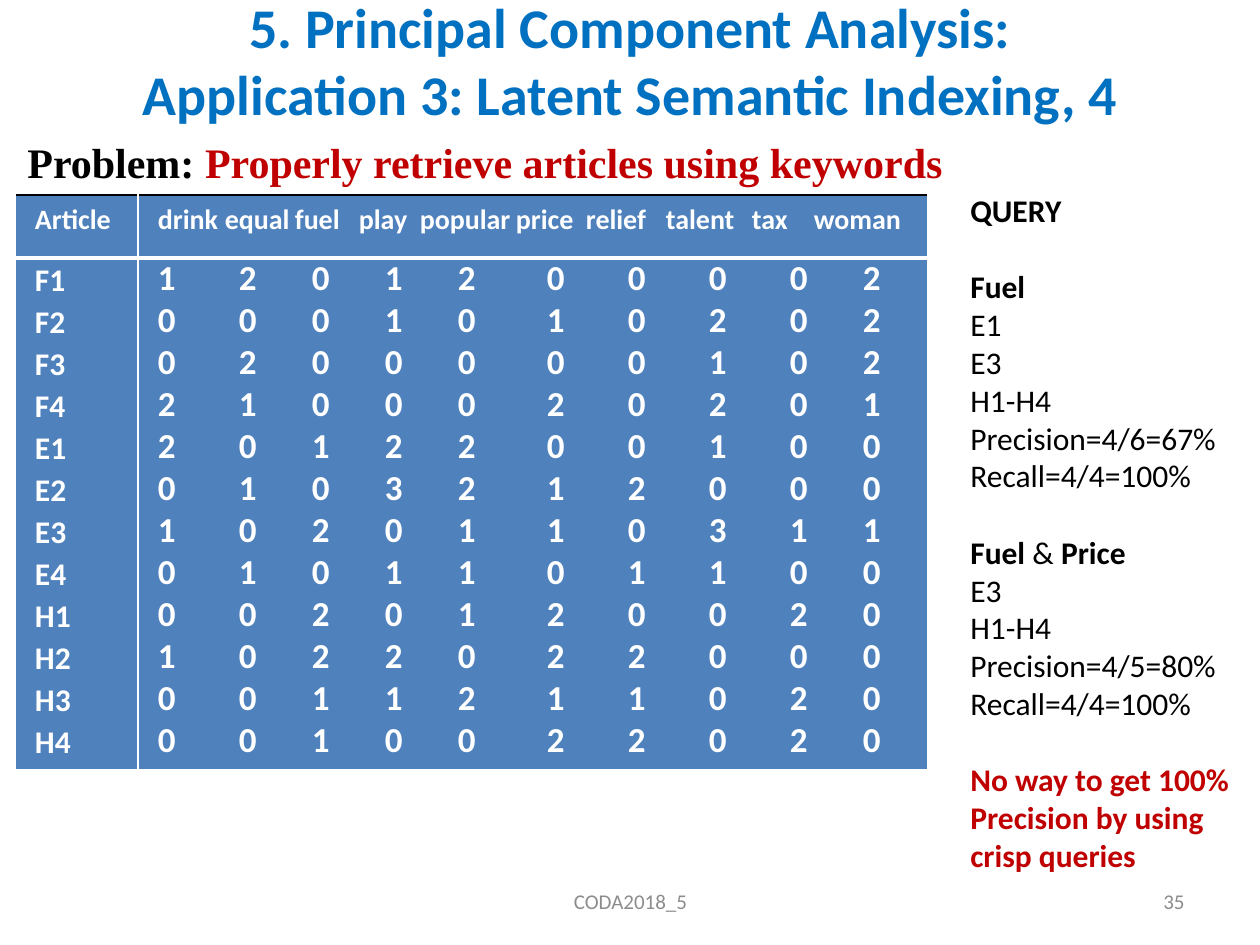
from lxml.etree import SubElement as Sub
from pptx import Presentation
from pptx.dml.color import RGBColor
from pptx.enum.text import MSO_ANCHOR as Anchor, PP_ALIGN as Align
from pptx.oxml import parse_xml
from pptx.oxml.ns import nsdecls, qn
from pptx.util import Emu, Pt

BLACK, WHITE, RED = "000000", "FFFFFF", "C00000"
BLUE, CELL, GREY = "0070C0", "4F81BD", "8C8C8C"

WORDS = "drink equal fuel play popular price relief talent tax woman".split()
COUNTS = {
    "F1": "1201200002", "F2": "0001010202", "F3": "0200000102",
    "F4": "2100020201", "E1": "2012200100", "E2": "0103212000",
    "E3": "1020110311", "E4": "0101101100", "H1": "0020120020",
    "H2": "1022022000", "H3": "0011211020", "H4": "0010022020",
}
WORD_TABS = [67, 137, 201, 262, 358, 428, 508, 594, 656]
COUNT_TABS = [81, 154, 227, 300, 389, 470, 551, 632, 705]


def px(n):
    return Emu(round(n * 914400 / 126))


def rgb(code):
    return RGBColor.from_string(code)


class Deck:
    face = "Calibri"

    def __init__(self):
        self.prs = Presentation()
        self.prs.slide_width, self.prs.slide_height = px(1260), px(945)
        self.slide = self.prs.slides.add_slide(self.prs.slide_layouts[6])

    def style(self, para, size, color, bold=False, align=Align.LEFT, face=None):
        para.alignment = align
        font = para.font
        font.name, font.size, font.bold = face or self.face, Pt(size), bold
        font.color.rgb = rgb(color)

    def box(self, x, y, w, h, anchor=Anchor.TOP):
        frame = self.slide.shapes.add_textbox(px(x), px(y), px(w), px(h)).text_frame
        frame.word_wrap, frame.vertical_anchor = True, anchor
        return frame

    def label(self, text, x, y, w, h, **look):
        frame = self.box(x, y, w, h, Anchor.MIDDLE)
        frame.text = text
        for para in frame.paragraphs:
            self.style(para, **look)

    def runs(self, para, parts):
        """Add (text, font field, value) runs to a styled paragraph."""
        for text, bold, color in parts:
            run = para.add_run()
            run.text, run.font.bold = text, bold
            run.font.color.rgb = rgb(color)

    def table(self, x, y, cols, rows):
        grid = self.slide.shapes.add_table(
            len(rows), len(cols), px(x), px(y), px(sum(cols)), px(sum(rows))).table
        for col, w in zip(grid.columns, cols):
            col.width = px(w)
        for row, h in zip(grid.rows, rows):
            row.height = px(h)
        return grid

    def cell(self, cell, lines, size, tabs=(), top=0):
        cell.margin_left, cell.margin_top = px(20), px(top)
        cell.margin_right = cell.margin_bottom = 0
        cell.fill.solid()
        cell.fill.fore_color.rgb = rgb(CELL)
        frame = cell.text_frame
        frame.text = "\n".join(lines)
        for para in frame.paragraphs:
            if tabs:
                stops = Sub(para._p.get_or_add_pPr(), qn("a:tabLst"))
                for stop in tabs:
                    Sub(stops, qn("a:tab"), pos=str(px(stop)), algn="l")
            para.line_spacing = Pt(24)
            self.style(para, size, WHITE, True)

    def edges(self, cell, **sides):
        """Draw borders, each side (L, R, T, B) given as colour and points."""
        for i, (side, (color, width)) in enumerate(sides.items()):
            cell._tc.get_or_add_tcPr().insert(i, parse_xml(
                f'<a:ln{side} {nsdecls("a")} w="{Pt(width)}"><a:solidFill>'
                f'<a:srgbClr val="{color}"/></a:solidFill></a:ln{side}>'))


def main():
    deck = Deck()
    deck.label("5. Principal Component Analysis:\vApplication 3: Latent Semantic Indexing, 4",
               25, 4, 1211, 112, size=32, color=BLUE, bold=True, align=Align.CENTER)

    frame = deck.box(15, 76, 1230, 869)
    frame.margin_top = px(61)
    para = frame.paragraphs[0]
    deck.style(para, 24, BLACK, True, face="Times New Roman")
    deck.runs(para, [("Problem: ", True, BLACK),
                     ("Properly retrieve articles using keywords", True, RED)])

    deck.label("CODA2018_5", 431, 876, 399, 50, size=12, color=GREY, align=Align.CENTER)
    deck.label("35", 903, 876, 294, 50, size=12, color=GREY, align=Align.RIGHT)

    grid = deck.table(15, 195, [123, 790], [63, 512])
    deck.cell(grid.cell(0, 0), ["Article"], 16)
    deck.cell(grid.cell(0, 1), ["\t".join(WORDS)], 16, WORD_TABS)
    deck.cell(grid.cell(1, 0), COUNTS, 18)
    deck.cell(grid.cell(1, 1), ["\t".join(row) for row in COUNTS.values()], 20, COUNT_TABS)
    thin, thick = (WHITE, 1), (WHITE, 3)
    for col in range(2):
        deck.edges(grid.cell(0, col), L=thin, R=thin, T=(BLACK, 1), B=thick)
        deck.edges(grid.cell(1, col), L=thin, R=thin, T=thick, B=thin)

    blocks = [
        [[("QUERY", True, BLACK)]],
        [[("Fuel", True, BLACK)], "E1", "E3", "H1-H4",
         "Precision=4/6=67%", "Recall=4/4=100%"],
        [[("Fuel ", True, BLACK), ("& ", False, BLACK), ("Price", True, BLACK)],
         "E3", "H1-H4", "Precision=4/5=80%", "Recall=4/4=100%"],
        [[("No way to get 100% Precision by using crisp queries", True, RED)]],
    ]
    frame = deck.box(958, 185, 302, 738)
    para = frame.paragraphs[0]
    for i, block in enumerate(blocks):
        for j, line in enumerate(block):
            if i or j:
                para = frame.add_paragraph()
            if i and not j:
                para.space_before = Pt(22)
            deck.style(para, 18, BLACK)
            deck.runs(para, [(line, False, BLACK)] if isinstance(line, str) else line)

    deck.prs.save("out.pptx")


if __name__ == "__main__":
    main()
